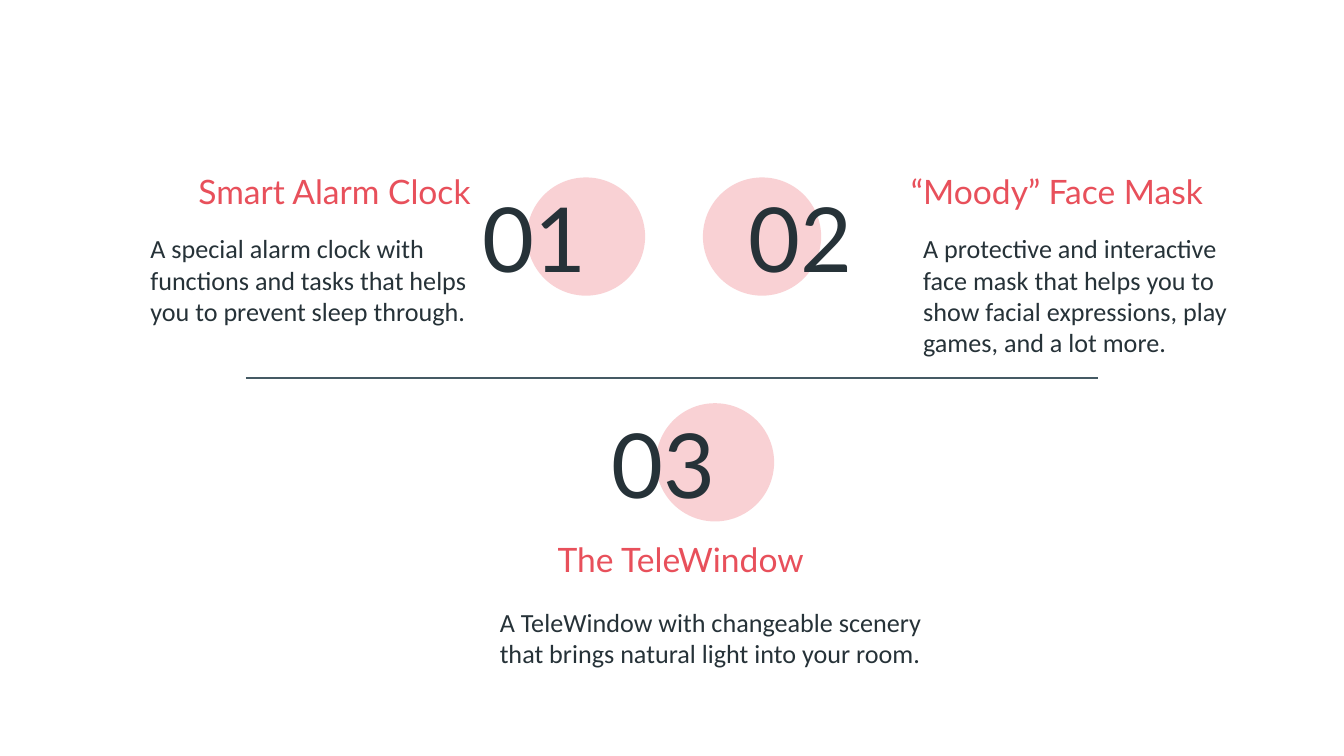
import pptx
import pptx.util
import pptx.dml.color
import pptx.enum.shapes
import pptx.enum.text
import pptx.oxml
import pptx.oxml.ns
from lxml import etree

Inches = pptx.util.Inches
Pt = pptx.util.Pt
RGBColor = pptx.dml.color.RGBColor
ANCHOR = pptx.enum.text.MSO_ANCHOR
ALIGN = pptx.enum.text.PP_ALIGN

CORAL = RGBColor(0xE8, 0x50, 0x5B)
INK = RGBColor(0x26, 0x32, 0x38)
SLATE = RGBColor(0x45, 0x5A, 0x64)

SLIDE_WIDTH = 10
SLIDE_HEIGHT = SLIDE_WIDTH * 9 / 16
CIRCLE_SIZE = 0.88
CIRCLE_OPACITY = 26
NUMBER_SIZE = (1.31, 0.82)
NUMBER_DROP = 0.03  # number box top below circle top
HEADING_HEIGHT = 0.44
DIVIDER_MARGIN = 1.83

# number, circle (left, top), number left, number alignment,
# heading, heading (left, top, width), heading alignment,
# description, description (left, top, width, height)
IDEAS = [
    ("01", (3.92, 1.32), 3.49, ALIGN.LEFT,
     "Smart Alarm Clock", (1.02, 1.23, 2.58), ALIGN.RIGHT,
     "A special alarm clock with functions and tasks that helps you to "
     "prevent sleep through.", (1.02, 1.63, 2.58, 0.82)),
    ("02", (5.23, 1.32), 5.13, ALIGN.RIGHT,
     "“Moody” Face Mask", (6.68, 1.23, 2.7), ALIGN.LEFT,
     "A protective and interactive face mask that helps you to show facial "
     "expressions, play games, and a lot more.", (6.77, 1.63, 2.7, 0.99)),
    ("03", (4.88, 3), 4.45, ALIGN.LEFT,
     "The TeleWindow", (4.05, 3.97, 2.29), ALIGN.LEFT,
     "A TeleWindow with changeable scenery that brings natural light into "
     "your room.", (3.62, 4.41, 3.41, 1.09)),
]


def add_text(slide, text, box, size, font, color, anchor, align=ALIGN.LEFT):
    frame = slide.shapes.add_textbox(*map(Inches, box)).text_frame
    frame.word_wrap = True
    frame.vertical_anchor = anchor
    frame.margin_left = frame.margin_right = Inches(0.1)
    frame.margin_top = frame.margin_bottom = Inches(0.1)
    frame.text = text
    paragraph = frame.paragraphs[0]
    paragraph.alignment = align
    run_font = paragraph.runs[0].font
    run_font.size = Pt(size)
    run_font.name = font
    run_font.color.rgb = color


def add_circle(slide, left, top):
    """Add a translucent coral disc without an outline."""
    circle = slide.shapes.add_shape(
        pptx.enum.shapes.MSO_SHAPE.OVAL, Inches(left), Inches(top),
        Inches(CIRCLE_SIZE), Inches(CIRCLE_SIZE))
    circle.shadow.inherit = False
    circle.fill.solid()
    circle.fill.fore_color.rgb = CORAL
    circle.line.fill.background()
    qn = pptx.oxml.ns.qn
    color = circle._element.spPr.find(qn("a:solidFill")).find(qn("a:srgbClr"))
    etree.SubElement(color, qn("a:alpha"), val=str(CIRCLE_OPACITY * 1000))


def add_divider(slide, left, right, y):
    divider = slide.shapes.add_connector(
        pptx.enum.shapes.MSO_CONNECTOR.STRAIGHT,
        Inches(left), Inches(y), Inches(right), Inches(y))
    divider.line.color.rgb = SLATE
    divider.line.width = Pt(0.75)
    etree.SubElement(divider._element.spPr, pptx.oxml.ns.qn("a:effectLst"))


def add_idea(slide, number, circle, number_left, number_align,
             heading, heading_box, heading_align, description, description_box):
    add_circle(slide, *circle)
    add_text(slide, number, (number_left, circle[1] + NUMBER_DROP, *NUMBER_SIZE),
             48, "Lato", INK, ANCHOR.MIDDLE, number_align)
    add_text(slide, heading, (*heading_box, HEADING_HEIGHT),
             18, "Lato", CORAL, ANCHOR.BOTTOM, heading_align)
    add_text(slide, description, description_box,
             14, "Calibri", INK, ANCHOR.TOP)


def main():
    deck = pptx.Presentation()
    deck.slide_width = Inches(SLIDE_WIDTH)
    deck.slide_height = Inches(SLIDE_HEIGHT)
    slide = deck.slides.add_slide(deck.slide_layouts[6])
    for idea in IDEAS:
        add_idea(slide, *idea)
    add_divider(slide, DIVIDER_MARGIN, SLIDE_WIDTH - DIVIDER_MARGIN,
                SLIDE_HEIGHT / 2)
    deck.save("out.pptx")


if __name__ == "__main__":
    main()
